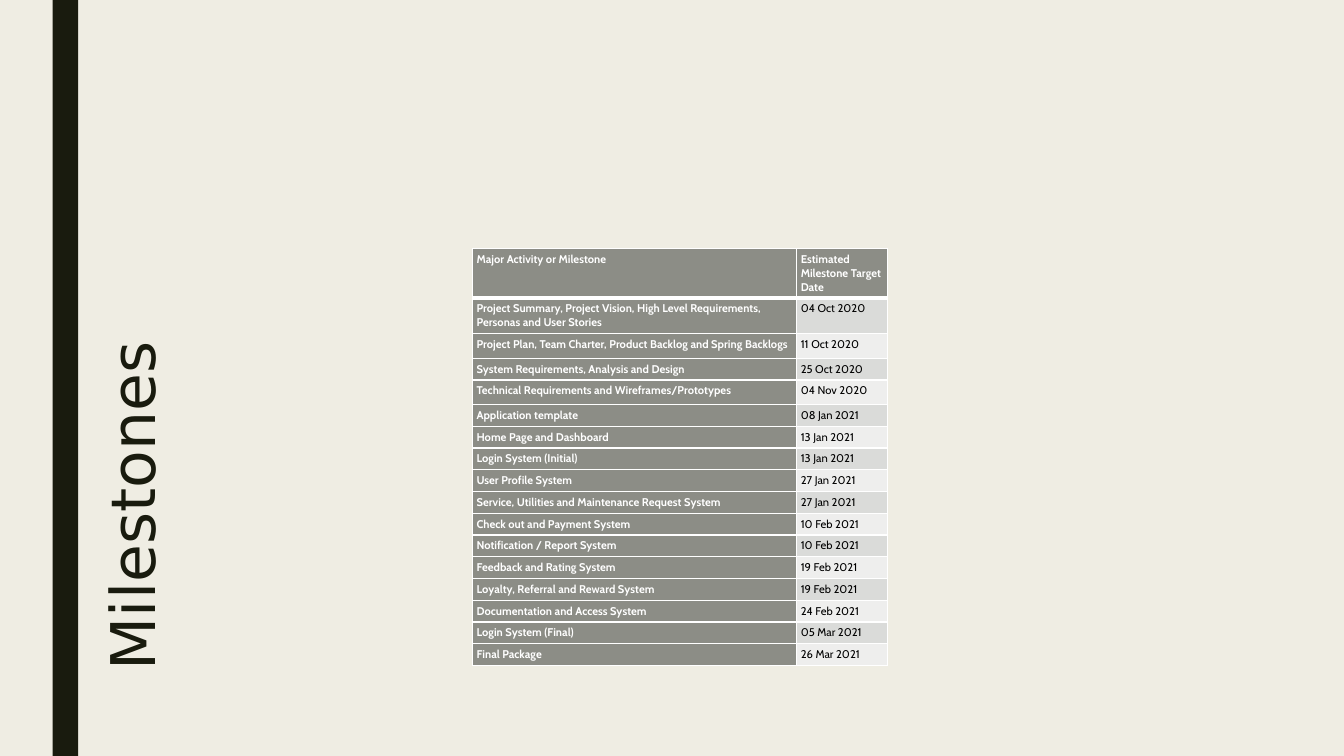
"""Build the Milestones slide with its table of target dates."""
from pptx import Presentation
from pptx.dml.color import RGBColor as Rgb
from pptx.enum.shapes import MSO_SHAPE as Shape
from pptx.enum.text import MSO_ANCHOR as Anchor, MSO_AUTO_SIZE as Fit, PP_ALIGN as Align
from pptx.oxml import parse_xml
from pptx.oxml.ns import nsdecls
from pptx.util import Cm, Pt

HUES = {"back": "EFEDE3", "dark": "191B0E", "head": "8C8D86", "odd": "DADBD9",
        "even": "EEEEED", "white": "FFFFFF", "black": "000000"}
TASKS = [
    ("Major Activity or Milestone", "Estimated Milestone Target Date"),
    ("Project Summary, Project Vision, High Level Requirements, Personas and User Stories",
     "04 Oct 2020"),
    ("Project Plan, Team Charter, Product Backlog and Spring Backlogs", "11 Oct 2020"),
    ("System Requirements, Analysis and Design", "25 Oct 2020"),
    ("Technical Requirements and Wireframes/Prototypes", "04 Nov 2020"),
    ("Application template", "08 Jan 2021"),
    ("Home Page and Dashboard", "13 Jan 2021"),
    ("Login System (Initial)", "13 Jan 2021"),
    ("User Profile System", "27 Jan 2021"),
    ("Service, Utilities and Maintenance Request System", "27 Jan 2021"),
    ("Check out and Payment System", "10 Feb 2021"),
    ("Notification / Report System", "10 Feb 2021"),
    ("Feedback and Rating System", "19 Feb 2021"),
    ("Loyalty, Referral and Reward System", "19 Feb 2021"),
    ("Documentation and Access System", "24 Feb 2021"),
    ("Login System (Final)", "05 Mar 2021"),
    ("Final Package", "26 Mar 2021"),
]
WIDTHS = [8.17, 2.29]
TALL = {0: 1.23, 1: 0.86, 2: 0.62, 4: 0.62}
ROW = 0.53


def tint(fill, hue):
    fill.solid()
    fill.fore_color.rgb = Rgb.from_string(HUES[hue])


def style(para, hue, **form):
    para.font.color.rgb = Rgb.from_string(HUES[hue])
    for key, val in form.items():
        setattr(para.font, key, val)


deck = Presentation()
deck.slide_width, deck.slide_height = Cm(33.87), Cm(19.05)
slide = deck.slides.add_slide(deck.slide_layouts[5])
tint(slide.background.fill, "back")

bar = slide.shapes.add_shape(Shape.RECTANGLE, Cm(1.33), 0, Cm(0.64), deck.slide_height)
bar.shadow.inherit = False
tint(bar.fill, "dark")
bar.line.fill.background()

title = slide.shapes.title
place = {"left": Cm(-4.5), "top": Cm(8.13), "width": Cm(15.82), "height": Cm(2.21),
         "rotation": 270}
for key, val in place.items():
    setattr(title, key, val)
frame = title.text_frame
frame.text = "Milestones"
frame.auto_size, frame.vertical_anchor = Fit.NONE, Anchor.MIDDLE
para = frame.paragraphs[0]
para.alignment, para.line_spacing = Align.LEFT, 0.89
style(para, "dark", name="DejaVu Sans", size=Pt(44))

highs = [TALL.get(row, ROW) for row in range(len(TASKS))]
table = slide.shapes.add_table(len(TASKS), len(WIDTHS), Cm(11.91), Cm(6.27),
                               Cm(sum(WIDTHS)), Cm(sum(highs))).table
table.first_row = table.horz_banding = False
for col, wide in zip(table.columns, WIDTHS):
    col.width = Cm(wide)

for row, task in enumerate(TASKS):
    table.rows[row].height = Cm(highs[row])
    for col, text in enumerate(task):
        cell = table.cell(row, col)
        head = row == 0 or col == 0
        cell.text = text
        for side in ("left", "right", "top", "bottom"):
            setattr(cell, f"margin_{side}", Cm(0.1))
        style(cell.text_frame.paragraphs[0], "white" if head else "black",
              name="Cabin", size=Pt(8), bold=head)
        props = cell._tc.get_or_add_tcPr()
        for edge in "LRTB":
            thick = 3 if (row, edge) in [(0, "B"), (1, "T")] else 1
            props.append(parse_xml(
                f'<a:ln{edge} {nsdecls("a")} w="{Pt(thick)}"><a:solidFill>'
                f'<a:srgbClr val="{HUES["white"]}"/></a:solidFill></a:ln{edge}>'))
        tint(cell.fill, "head" if head else "odd" if row % 2 else "even")

deck.save("out.pptx")
